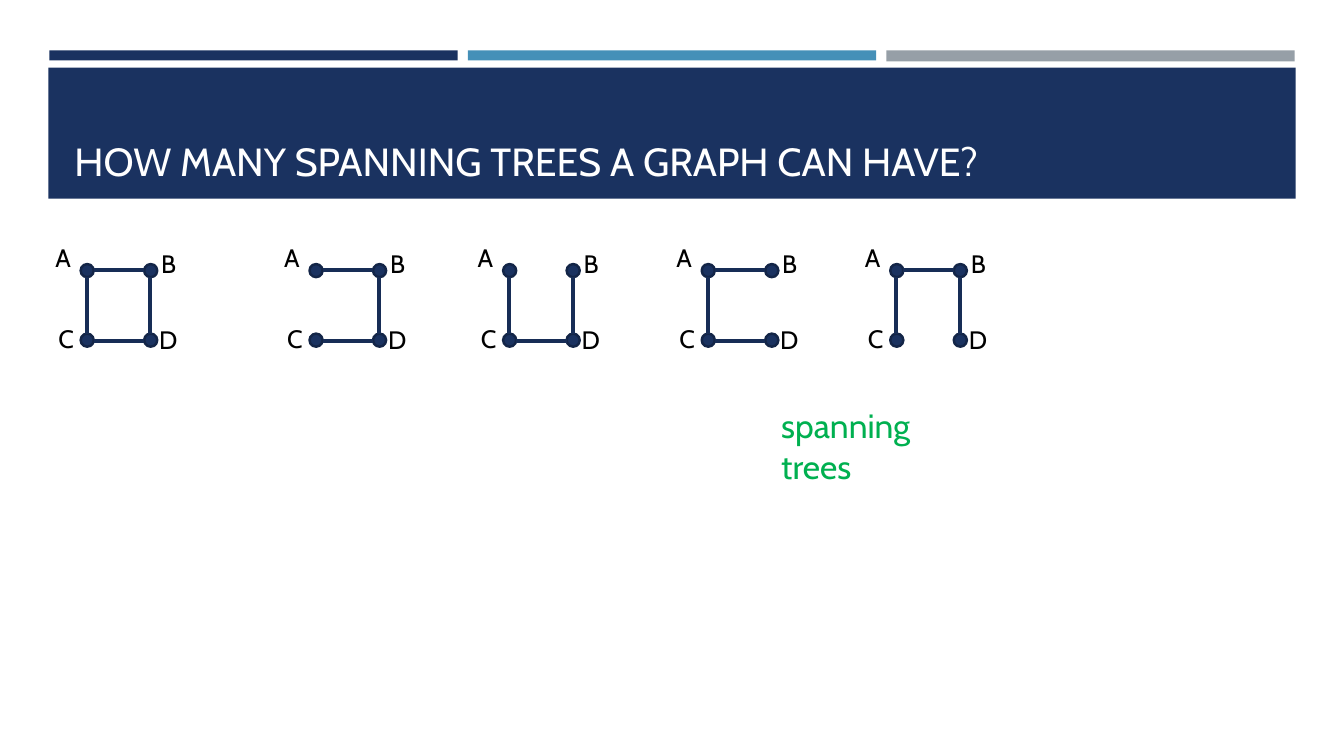
"""Build a slide showing a square graph and its four spanning trees."""
from pptx import Presentation
from pptx.dml.color import RGBColor
from pptx.enum.shapes import MSO_CONNECTOR, MSO_SHAPE
from pptx.enum.text import MSO_ANCHOR, MSO_AUTO_SIZE
from pptx.oxml.ns import qn
from pptx.util import Emu, Pt
from lxml.etree import SubElement

NAVY = RGBColor(0x1A, 0x32, 0x60)
DOT_LINE = RGBColor(0x13, 0x25, 0x47)
EDGE = RGBColor(0x17, 0x2D, 0x56)
BLUE = RGBColor(0x45, 0x90, 0xB8)
GRAY = RGBColor(0x96, 0x9F, 0xA7)
GREEN = RGBColor(0x00, 0xB0, 0x50)
WHITE = RGBColor(0xFF, 0xFF, 0xFF)
BLACK = RGBColor(0x00, 0x00, 0x00)

TITLE = "HOW MANY SPANNING TREES A GRAPH CAN HAVE?"
CAPTION = "spanning trees"
BANDS = [
    (49, 50, 405, 10, NAVY),
    (464, 50, 405, 10, BLUE),
    (879, 50, 405, 11, GRAY),
    (48, 67, 1237, 130, NAVY),
]
GRAPHS = [
    (80, ["AB", "BD", "CD", "AC"]),
    (307, ["AB", "BD", "CD"]),
    (499, ["AC", "BD", "CD"]),
    (696, ["AB", "AC", "CD"]),
    (883, ["AB", "AC", "BD"]),
]
DOT = 13
GRAPH_TOP = 262
DOTS = {"A": (0, 0), "B": (63, 0), "C": (0, 69), "D": (63, 69)}
LABELS = {
    "A": (-35, -27, 37, False),
    "B": (70, -21, 42, True),
    "C": (-32, 54, 38, False),
    "D": (68, 55, 42, True),
}
EDGES = {
    "AB": (DOT, 6, 63, 6),
    "CD": (DOT, 76, 63, 76),
    "AC": (6, DOT, 6, 69),
    "BD": (69, DOT, 69, 69),
}
SCALE = 9144


def px(*lengths):
    return [Emu(length * SCALE) for length in lengths]


def add_filled(slide, kind, box, color):
    shape = slide.shapes.add_shape(kind, *px(*box))
    shape.shadow.inherit = False
    shape.fill.solid()
    shape.fill.fore_color.rgb = color
    shape.line.fill.background()
    return shape


def add_text(slide, text, box, size, color, **frame_format):
    frame = slide.shapes.add_textbox(*px(*box)).text_frame
    for name, value in frame_format.items():
        setattr(frame, name, value)
    paragraph = frame.paragraphs[0]
    paragraph.text = text
    for name, value in {"name": "Cabin", "size": Pt(size)}.items():
        setattr(paragraph.font, name, value)
    paragraph.font.color.rgb = color


def add_graph(slide, left, edges):
    for x, y in DOTS.values():
        dot = add_filled(slide, MSO_SHAPE.OVAL, (left + x, GRAPH_TOP + y, DOT, DOT), NAVY)
        dot.line.color.rgb = DOT_LINE
        dot.line.width = Pt(1.75)
    for edge in edges:
        x1, y1, x2, y2 = EDGES[edge]
        ends = px(left + x1, GRAPH_TOP + y1, left + x2, GRAPH_TOP + y2)
        connector = slide.shapes.add_connector(MSO_CONNECTOR.STRAIGHT, *ends)
        connector.line.color.rgb = EDGE
        connector.line.width = Pt(3)
        SubElement(connector.element.spPr, qn("a:effectLst"))
    for label, (x, y, width, wrap) in LABELS.items():
        add_text(slide, label, (left + x, GRAPH_TOP + y, width, 40), 18, BLACK,
                 word_wrap=wrap, auto_size=MSO_AUTO_SIZE.SHAPE_TO_FIT_TEXT)


def main():
    presentation = Presentation()
    presentation.slide_width, presentation.slide_height = px(1333, 750)
    slide = presentation.slides.add_slide(presentation.slide_layouts[6])
    for *box, color in BANDS:
        add_filled(slide, MSO_SHAPE.RECTANGLE, box, color)
    add_text(slide, TITLE, (64, 77, 1206, 111), 28, WHITE,
             word_wrap=True, vertical_anchor=MSO_ANCHOR.BOTTOM)
    for left, edges in GRAPHS:
        add_graph(slide, left, edges)
    add_text(slide, CAPTION, (765, 397, 215, 50), 24, GREEN, word_wrap=True)
    presentation.save("out.pptx")


if __name__ == "__main__":
    main()
